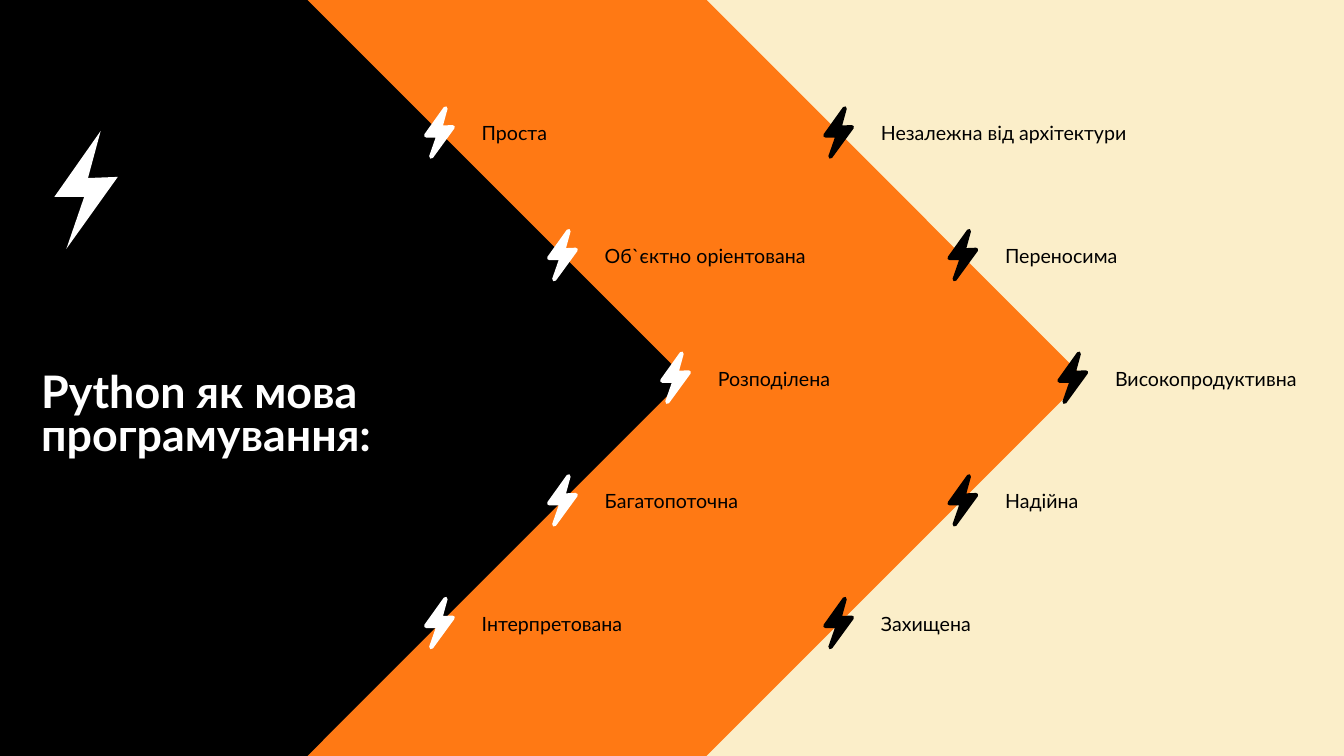
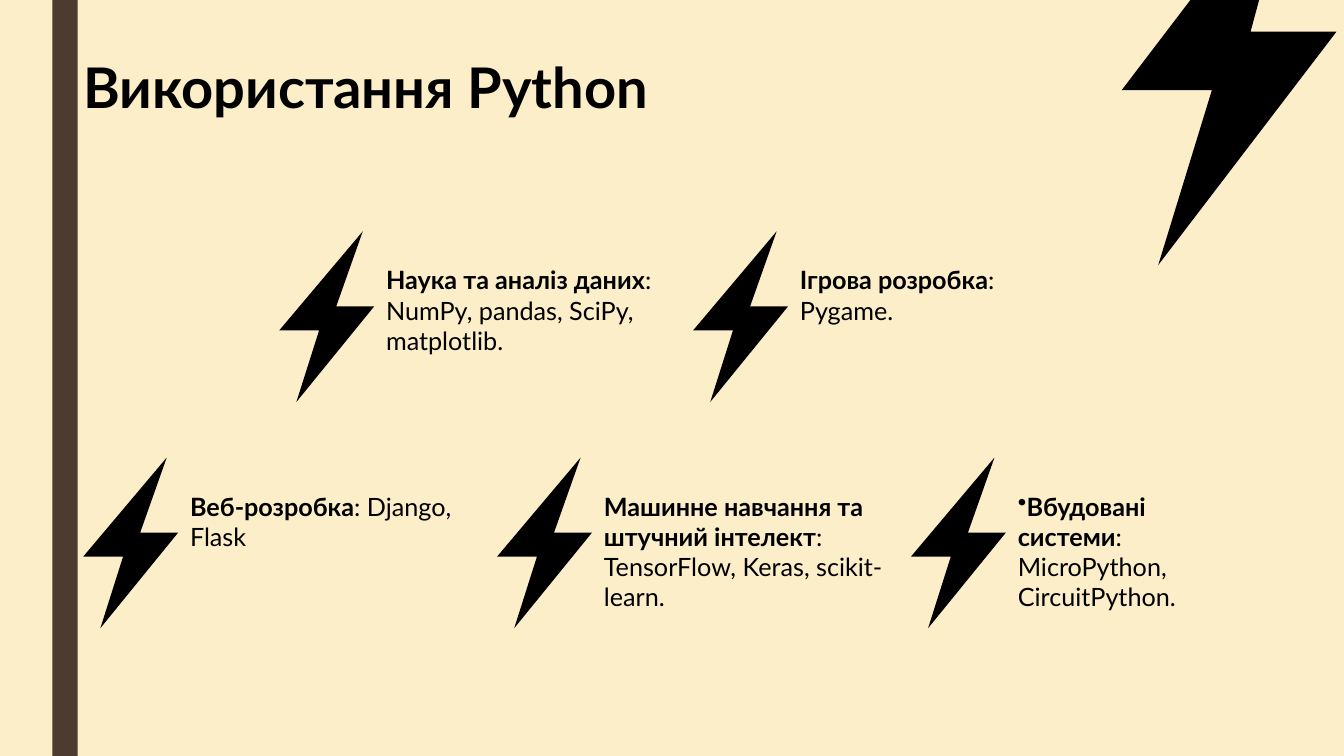
from pptx import Presentation
from pptx import util as u
from pptx.dml.color import RGBColor
from pptx.enum import shapes, text
from pptx.oxml.ns import qn
from lxml import etree

COLORS = {
    "cream": "FBEEC9",
    "orange": "FF7914",
    "brown": "4E3B30",
    "black": "000000",
    "white": "FFFFFF",
}
COLORS = {name: RGBColor.from_string(value) for name, value in COLORS.items()}
FONT = "Lato"
SLIDE_WIDTH, SLIDE_HEIGHT = 33.87, 19.05

SLIM_BOLT = [(0.73, 0), (0, 0.56), (0.47, 0.56), (0.19, 1), (1, 0.39), (0.53, 0.4)]
WIDE_BOLT = [(0.88, 0), (0, 0.58), (0.42, 0.58), (0.18, 1), (1, 0.44), (0.6, 0.44)]
CUT_BOLT = [(0.32, 0), (0.64, 0), (0.6, 0.12), (1, 0.12), (0.17, 1), (0.42, 0.34), (0, 0.34)]


def draw_bolt(slide, profile, left, top, width, height, color, outline=0):
    points = [(u.Cm(left + x * width), u.Cm(top + y * height)) for x, y in profile]
    builder = slide.shapes.build_freeform(*points[0])
    builder.add_line_segments(points[1:], close=True)
    bolt = builder.convert_to_shape()
    bolt.shadow.inherit = False
    bolt.fill.solid()
    bolt.fill.fore_color.rgb = COLORS[color]
    if outline:
        bolt.line.color.rgb = COLORS[color]
        bolt.line.width = u.Pt(outline)
    else:
        bolt.line.fill.background()


def write(slide, words, left, top, width, height, size, color="black", bold=False,
          tail="", middle=False, spacing=None, bullet=None):
    box = slide.shapes.add_textbox(u.Cm(left), u.Cm(top), u.Cm(width), u.Cm(height))
    frame = box.text_frame
    frame.word_wrap = True
    frame.auto_size = text.MSO_AUTO_SIZE.SHAPE_TO_FIT_TEXT
    frame.margin_left = frame.margin_right = frame.margin_top = frame.margin_bottom = 0
    frame.vertical_anchor = text.MSO_ANCHOR.MIDDLE if middle else text.MSO_ANCHOR.TOP
    paragraph = frame.paragraphs[0]
    paragraph.text = words
    if bullet:
        properties = paragraph._p.get_or_add_pPr()
        etree.SubElement(properties, qn("a:buChar")).set("char", bullet)
    if spacing:
        paragraph.line_spacing = spacing
    for run in paragraph.runs:
        run.font.bold = bold
    if tail:
        paragraph.add_run().text = tail
    for run in paragraph.runs:
        run.font.name = FONT
        run.font.size = u.Pt(size)
        run.font.color.rgb = COLORS[color]


prs = Presentation()
prs.slide_width = u.Cm(SLIDE_WIDTH)
prs.slide_height = u.Cm(SLIDE_HEIGHT)
blank = prs.slide_layouts[6]
features, uses = [prs.slides.add_slide(blank) for _ in range(2)]

master = prs.slide_master
master.background.fill.solid()
master.background.fill.fore_color.rgb = COLORS["cream"]
band = uses.shapes.add_shape(
    shapes.MSO_SHAPE.RECTANGLE, u.Cm(1.32), 0, u.Cm(0.64), prs.slide_height)
band.shadow.inherit = False
band.fill.solid()
band.fill.fore_color.rgb = COLORS["brown"]
band.line.fill.background()
master.shapes.element.insert(2, band.element)

for arrow_width, color in [(27.33, "orange"), (17.27, "black")]:
    arrow = features.shapes.add_shape(
        shapes.MSO_SHAPE.PENTAGON, 0, 0, u.Cm(arrow_width), prs.slide_height)
    arrow.adjustments[0] = SLIDE_HEIGHT / 2 / min(arrow_width, SLIDE_HEIGHT)
    arrow.shadow.inherit = False
    arrow.fill.solid()
    arrow.fill.fore_color.rgb = COLORS[color]
    arrow.line.fill.background()

draw_bolt(features, SLIM_BOLT, 1.37, 3.3, 1.6, 2.97, "white")
write(features, "Python як мова \vпрограмування:", 1.04, 9.4, 9, 2.24, 32,
      color="white", bold=True, middle=True, spacing=0.8)

feature_columns = [
    ("white", [10.74, 13.84, 16.69],
     ["Проста", "Об`єктно оріентована", "Розподілена", "Багатопоточна", "Інтерпретована"]),
    ("black", [20.8, 23.93, 26.7],
     ["Незалежна від архітектури", "Переносима", "Високопродуктивна", "Надійна", "Захищена"]),
]
for color, lefts, labels in feature_columns:
    for row, label in enumerate(labels):
        left = lefts[min(row, len(labels) - 1 - row)]
        top = 2.73 + row * 3.09
        draw_bolt(features, SLIM_BOLT, left, top, 0.67, 1.22, color, outline=3)
        label_left = left + 1.4
        write(features, label, label_left, top + 0.32,
              min(7, SLIDE_WIDTH - label_left), 0.61, 14, middle=True)

draw_bolt(uses, CUT_BOLT, 28.27, 0, 5.41, 6.68, "black")
write(uses, "Використання Python", 2.1, 1.32, 17, 1.7, 40, bold=True, middle=True)

use_rows = [
    (7.04, 5.83, [
        ("Наука та аналіз даних", ": NumPy, pandas, SciPy, matplotlib.", 6.83, 3, None),
        ("Ігрова розробка", ": Pygame.", 6.93, 2, None),
    ]),
    (2.1, 11.53, [
        ("Веб-розробка", ": Django, Flask", 6.93, 2, None),
        ("Машинне навчання та штучний інтелект",
         ": TensorFlow, Keras, scikit-learn.", 7.75, 4, None),
        ("Вбудовані системи", ": MicroPython, CircuitPython.", 4.98, 4, "•"),
    ]),
]
for row_left, top, fields in use_rows:
    for column, (field, tools, width, lines, bullet) in enumerate(fields):
        left = row_left + column * 10.43
        draw_bolt(uses, WIDE_BOLT, left, top, 2.39, 4.3, "black")
        write(uses, field, left + 2.69, top + 0.84, width, lines * 0.77, 18,
              bold=True, tail=tools, bullet=bullet)

prs.save("out.pptx")
